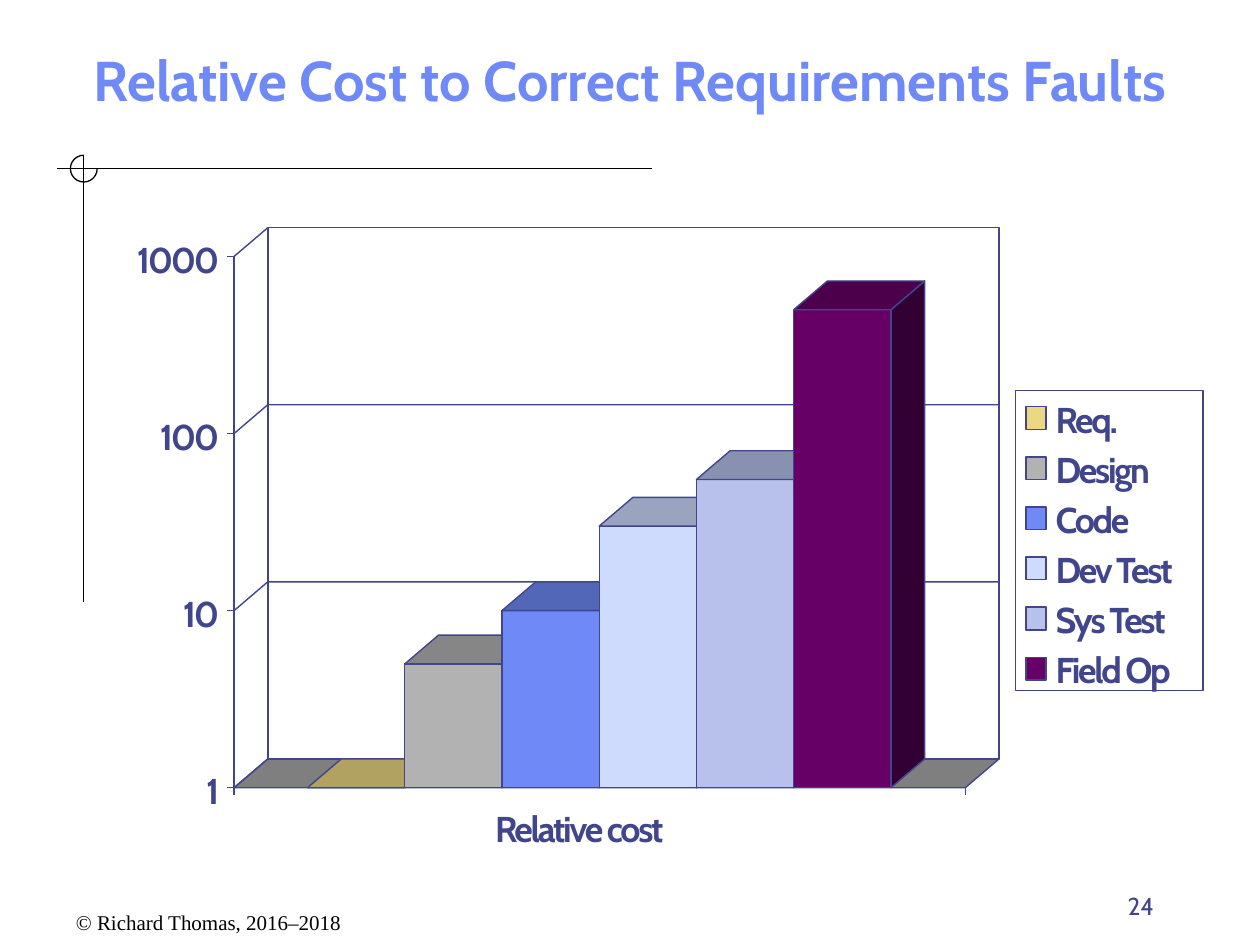
"""Build the slide on the relative cost of correcting requirements faults."""
from dataclasses import dataclass
import math

import lxml.etree
import pptx
import pptx.dml.color
import pptx.enum.shapes
import pptx.enum.text
import pptx.oxml.ns
import pptx.util

Cm = pptx.util.Cm
Pt = pptx.util.Pt
RGBColor = pptx.dml.color.RGBColor
PP_ALIGN = pptx.enum.text.PP_ALIGN
MSO_SHAPE = pptx.enum.shapes.MSO_SHAPE

BLACK = RGBColor(0x00, 0x00, 0x00)
INDIGO = RGBColor(0x40, 0x45, 0x8C)
PERIWINKLE = RGBColor(0x6F, 0x89, 0xF7)
SAND = RGBColor(0xEC, 0xD8, 0x82)
GRAY = RGBColor(0xB2, 0xB2, 0xB2)
ICE = RGBColor(0xCF, 0xDB, 0xFD)
LAVENDER = RGBColor(0xB7, 0xC1, 0xEB)
PURPLE = RGBColor(0x66, 0x00, 0x66)
FLOOR_GRAY = RGBColor(0x7F, 0x7F, 0x7F)

TITLE_FORMAT = {"name": "Cabin", "size": Pt(32), "bold": True}
CHART_FORMAT = {"name": "Cabin", "size": Pt(20.5), "bold": True}
NUMBER_FORMAT = {"name": "Cabin", "size": Pt(14), "bold": False}
COPYRIGHT_FORMAT = {"name": "Times New Roman", "size": Pt(12), "bold": False}
CHART_TRACKING = "-130"

LEFT, RIGHT, BASE = 4.72, 19.46, 15.88
DEPTH_X, DEPTH_Y = 0.68, 0.58
DECADE, DECADES = 3.57, 3
FIRST_COLUMN, COLUMN_WIDTH = 6.2, 1.96
TICK = 0.14
LEGEND_PITCH = 1.01


@dataclass(frozen=True)
class Box:
    """A rectangle in centimetres."""
    left: float
    top: float
    width: float
    height: float

    def lengths(self) -> tuple:
        """Return the four sides as slide lengths."""
        return tuple(Cm(side) for side in (self.left, self.top, self.width, self.height))


@dataclass(frozen=True)
class Phase:
    """A project phase and the relative cost of a fix in it."""
    name: str
    cost: int
    color: RGBColor


PHASES = [
    Phase("Req.", 1, SAND),
    Phase("Design", 5, GRAY),
    Phase("Code", 10, PERIWINKLE),
    Phase("Dev Test", 30, ICE),
    Phase("Sys Test", 55, LAVENDER),
    Phase("Field Op", 500, PURPLE),
]


def height_of(cost: float) -> float:
    """Return the position of a cost on the logarithmic axis."""
    return BASE - DECADE * math.log10(cost)


def shade(color: RGBColor, factor: float) -> RGBColor:
    """Return a darker tone of the colour."""
    return RGBColor(*(round(channel * factor) for channel in color))


def behind(point: tuple) -> tuple:
    """Return the point moved from the front to the back of the chart."""
    return point[0] + DEPTH_X, point[1] - DEPTH_Y


def apply_line(line, color: RGBColor, width: float) -> None:
    """Set the colour and the width of a line."""
    line.color.rgb = color
    line.width = Pt(width)


def write_lines(frame, lines: list, values: dict, color: RGBColor, tracking: str = "0",
                alignment=PP_ALIGN.LEFT, spacing=None) -> None:
    """Write formatted paragraphs into a frame without insets."""
    frame_format = {"margin_left": 0, "margin_top": 0, "margin_right": 0, "margin_bottom": 0,
                    "word_wrap": True, "vertical_anchor": pptx.enum.text.MSO_ANCHOR.TOP}
    for name, value in frame_format.items():
        setattr(frame, name, value)
    frame.text = "\n".join(lines)
    for paragraph in frame.paragraphs:
        paragraph.alignment = alignment
        paragraph.line_spacing = spacing
        font = paragraph.runs[0].font
        for name, value in values.items():
            setattr(font, name, value)
        font.color.rgb = color
        font._element.set("spc", tracking)


def add_text(slide, box: Box, text: str, values: dict, color: RGBColor, **options) -> None:
    """Add a text box with one line."""
    frame = slide.shapes.add_textbox(*box.lengths()).text_frame
    write_lines(frame, [text], values, color, **options)


def add_rule(slide, start: tuple, end: tuple, color: RGBColor, width: float) -> None:
    """Add a straight line."""
    rule = slide.shapes.add_connector(
        pptx.enum.shapes.MSO_CONNECTOR.STRAIGHT, *(Cm(value) for value in start + end))
    apply_line(rule.line, color, width)
    lxml.etree.SubElement(rule._element.spPr, pptx.oxml.ns.qn("a:effectLst"))


def add_outline(slide, points: list, fill: RGBColor = None, close: bool = True) -> None:
    """Add an outline through the points, filled if a colour is given."""
    corners = [(Cm(x), Cm(y)) for x, y in points]
    builder = slide.shapes.build_freeform(*corners[0])
    builder.add_line_segments(corners[1:], close=close)
    finish_shape(builder.convert_to_shape(), fill, INDIGO, 0.8)


def finish_shape(shape, fill: RGBColor, line_color: RGBColor, width: float) -> None:
    """Set the fill and line of a shape and drop its shadow."""
    shape.shadow.inherit = False
    if fill is None:
        shape.fill.background()
    else:
        shape.fill.solid()
        shape.fill.fore_color.rgb = fill
    apply_line(shape.line, line_color, width)


def add_crosshair(slide) -> None:
    """Add the crossing rules and the open circle around their crossing."""
    add_rule(slide, (1.15, 3.4), (13.15, 3.4), BLACK, 0.75)
    add_rule(slide, (1.69, 3.13), (1.69, 12.13), BLACK, 0.75)
    arc = slide.shapes.add_shape(MSO_SHAPE.ARC, *Box(1.42, 3.13, 0.54, 0.54).lengths())
    arc.adjustments[0] = 0
    arc.adjustments[1] = 162
    finish_shape(arc, None, BLACK, 0.75)


def add_title(slide) -> None:
    """Fill and place the title placeholder."""
    title = slide.shapes.title
    title.left, title.top, title.width, title.height = Box(0, 0.94, 25.4, 1.35).lengths()
    write_lines(title.text_frame, ["Relative Cost to Correct Requirements Faults"],
                TITLE_FORMAT, PERIWINKLE, alignment=PP_ALIGN.CENTER, spacing=Pt(38))


def add_room(slide) -> None:
    """Add the floor, the walls and the gridlines."""
    top = height_of(10 ** DECADES)
    front_left, front_right = (LEFT, BASE), (RIGHT, BASE)
    back_left, back_right = behind(front_left), behind(front_right)
    wall_left, wall_right = behind((LEFT, top)), behind((RIGHT, top))
    add_outline(slide, [front_left, back_left, back_right, front_right], FLOOR_GRAY)
    add_outline(slide, [front_left, (LEFT, top), wall_left, back_left])
    add_outline(slide, [back_left, back_right, wall_right, wall_left])
    for decade in range(1, DECADES):
        level = height_of(10 ** decade)
        add_outline(slide, [(LEFT, level), behind((LEFT, level)), behind((RIGHT, level))],
                    close=False)


def add_column(slide, left: float, phase: Phase) -> None:
    """Add the side, front and top of one column."""
    right, top = left + COLUMN_WIDTH, height_of(phase.cost)
    top_left, top_right = (left, top), (right, top)
    foot_left, foot_right = (left, BASE), (right, BASE)
    if phase.cost > 1:
        add_outline(slide, [foot_right, top_right, behind(top_right), behind(foot_right)],
                    shade(phase.color, 0.5))
        add_outline(slide, [foot_left, foot_right, top_right, top_left], phase.color)
    add_outline(slide, [top_left, top_right, behind(top_right), behind(top_left)],
                shade(phase.color, 0.75))


def add_axes(slide) -> None:
    """Add both axes with their ticks and labels."""
    add_rule(slide, (LEFT, height_of(10 ** DECADES)), (LEFT, BASE + TICK), INDIGO, 0.8)
    add_rule(slide, (LEFT, BASE), (RIGHT, BASE), INDIGO, 0.8)
    add_rule(slide, (RIGHT, BASE), (RIGHT, BASE + TICK), INDIGO, 0.8)
    for decade in range(DECADES + 1):
        cost = 10 ** decade
        level = height_of(cost)
        add_rule(slide, (LEFT - TICK, level), (LEFT, level), INDIGO, 0.8)
        add_text(slide, Box(2.4, level - 0.38, 2.02, 0.81), str(cost), CHART_FORMAT, INDIGO,
                 tracking=CHART_TRACKING, alignment=PP_ALIGN.RIGHT)
    add_text(slide, Box(9.98, 16.26, 4.27, 0.81), "Relative cost", CHART_FORMAT, INDIGO,
             tracking=CHART_TRACKING)


def add_legend(slide) -> None:
    """Add the framed legend with one colour key for each phase."""
    legend = slide.shapes.add_shape(MSO_SHAPE.RECTANGLE, *Box(20.47, 7.87, 3.78, 6.05).lengths())
    finish_shape(legend, None, INDIGO, 0.8)
    write_lines(legend.text_frame, [phase.name for phase in PHASES], CHART_FORMAT, INDIGO,
                tracking=CHART_TRACKING, spacing=Pt(28.6))
    legend.text_frame.margin_left = Cm(0.81)
    for index, phase in enumerate(PHASES):
        box = Box(20.68, 8.2 + index * LEGEND_PITCH, 0.41, 0.46)
        key = slide.shapes.add_shape(MSO_SHAPE.RECTANGLE, *box.lengths())
        finish_shape(key, phase.color, INDIGO, 0.8)


def main() -> None:
    """Build and save the presentation."""
    presentation = pptx.Presentation()
    presentation.slide_width, presentation.slide_height = Cm(25.4), Cm(19.05)
    slide = presentation.slides.add_slide(presentation.slide_layouts[5])
    add_crosshair(slide)
    add_title(slide)
    add_room(slide)
    for index, phase in enumerate(PHASES):
        add_column(slide, FIRST_COLUMN + index * COLUMN_WIDTH, phase)
    add_axes(slide)
    add_legend(slide)
    add_text(slide, Box(1.53, 18.34, 6.2, 0.6), "© Richard Thomas, 2016–2018",
             COPYRIGHT_FORMAT, BLACK)
    add_text(slide, Box(22.73, 17.96, 0.8, 0.6), "24", NUMBER_FORMAT, INDIGO)
    presentation.save("out.pptx")


if __name__ == "__main__":
    main()
